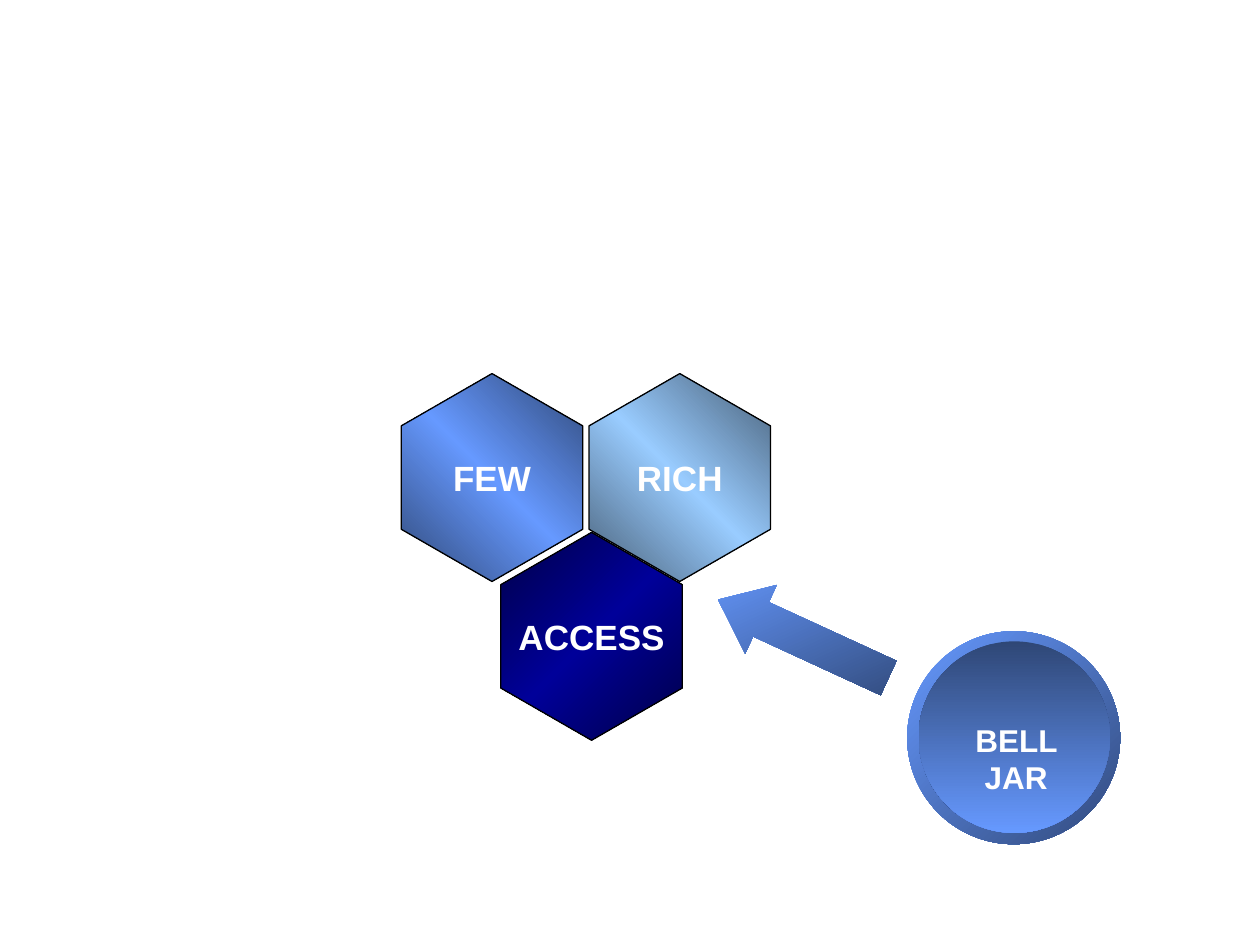
"""Build a slide of three hexagons with an arrow from a bell jar."""
import pptx
import pptx.dml.color
import pptx.enum.shapes
import pptx.enum.text
import pptx.oxml
import pptx.oxml.ns
import pptx.util

Inches = pptx.util.Inches
Pt = pptx.util.Pt
RGB = pptx.dml.color.RGBColor.from_string
SHAPE = pptx.enum.shapes.MSO_SHAPE

COLORS = {
    "black": "000000",
    "white": "FFFFFF",
    "sky": "99CCFF",
    "sky_shade": "475E76",
    "navy": "000099",
    "navy_shade": "000047",
    "blue": "6699FF",
    "blue_shade": "2F4776",
    "rim_shade": "324A7C",
}


def add_gradient_shape(parent, kind, box, stops, angle):
    shape = parent.add_shape(kind, *[Inches(value) for value in box])
    shape.shadow.inherit = False
    shape.line.fill.background()
    shape.fill.gradient()
    gradient = shape._element.spPr.find(pptx.oxml.ns.qn("a:gradFill"))
    gradient.set("rotWithShape", "0")
    marks = "".join(
        f'<a:gs pos="{100000 * i // (len(stops) - 1)}"><a:srgbClr val="{COLORS[stop]}"/></a:gs>'
        for i, stop in enumerate(stops)
    )
    stop_list = pptx.oxml.parse_xml(
        f'<a:gsLst {pptx.oxml.ns.nsdecls("a")}>{marks}</a:gsLst>'
    )
    gradient.replace(gradient.find(pptx.oxml.ns.qn("a:gsLst")), stop_list)
    gradient.find(pptx.oxml.ns.qn("a:lin")).set("ang", str(angle * 60000))
    return shape


def write_label(shape, text, size):
    shape.text_frame.text = text
    label = shape.text_frame.paragraphs[0]
    label.alignment = pptx.enum.text.PP_ALIGN.CENTER
    font = label.runs[0].font
    font.name = "Arial"
    font.size = Pt(size)
    font.bold = True
    font.color.rgb = RGB(COLORS["white"])


deck = pptx.Presentation()
deck.slide_width = Inches(10)
deck.slide_height = Inches(7.5)
slide = deck.slides.add_slide(deck.slide_layouts[6])

hexagons = [
    ("RICH", 4.57, 3.07, "sky", 135),
    ("ACCESS", 3.87, 4.33, "navy", 45),
    ("FEW", 3.08, 3.07, "blue", 135),
]
cluster = slide.shapes.add_group_shape().shapes
for text, left, top, color, angle in hexagons:
    shade = f"{color}_shade"
    hexagon = add_gradient_shape(
        cluster, SHAPE.HEXAGON, (left, top, 1.65, 1.44), (shade, color, shade), angle
    )
    hexagon.rotation = 270
    hexagon.adjustments[0] = 0.288
    hexagon.adjustments[1] = 1.155
    hexagon.line.color.rgb = RGB(COLORS["black"])
    hexagon.line.width = Pt(0.75)
    write_label(hexagon, text, 20)
    frame = hexagon.text_frame
    frame.word_wrap = False
    frame.vertical_anchor = pptx.enum.text.MSO_ANCHOR.MIDDLE
    frame.margin_left = frame.margin_right = Inches(0.05)
    frame.margin_top = frame.margin_bottom = Inches(0.1)
    frame._txBody.bodyPr.set("vert", "eaVert")
    frame._txBody.bodyPr.set("anchorCtr", "1")

bell_jar = slide.shapes.add_group_shape().shapes
add_gradient_shape(bell_jar, SHAPE.OVAL, (7.2, 5.01, 1.69, 1.69), ("blue", "rim_shade"), 45)
add_gradient_shape(bell_jar, SHAPE.OVAL, (7.29, 5.09, 1.52, 1.52), ("blue_shade", "blue"), 90)
jar_name = bell_jar.add_textbox(Inches(7.54), Inches(5.67), Inches(1.05), Inches(0.7))
jar_name.text_frame.word_wrap = True
write_label(jar_name, "BELL JAR", 18)

arrow = add_gradient_shape(
    slide.shapes, SHAPE.LEFT_ARROW, (5.63, 4.77, 1.49, 0.6), ("blue", "blue_shade"), 65
)
arrow.rotation = 24.7
arrow.adjustments[0] = 0.5
arrow.adjustments[1] = 0.626

deck.save("out.pptx")
